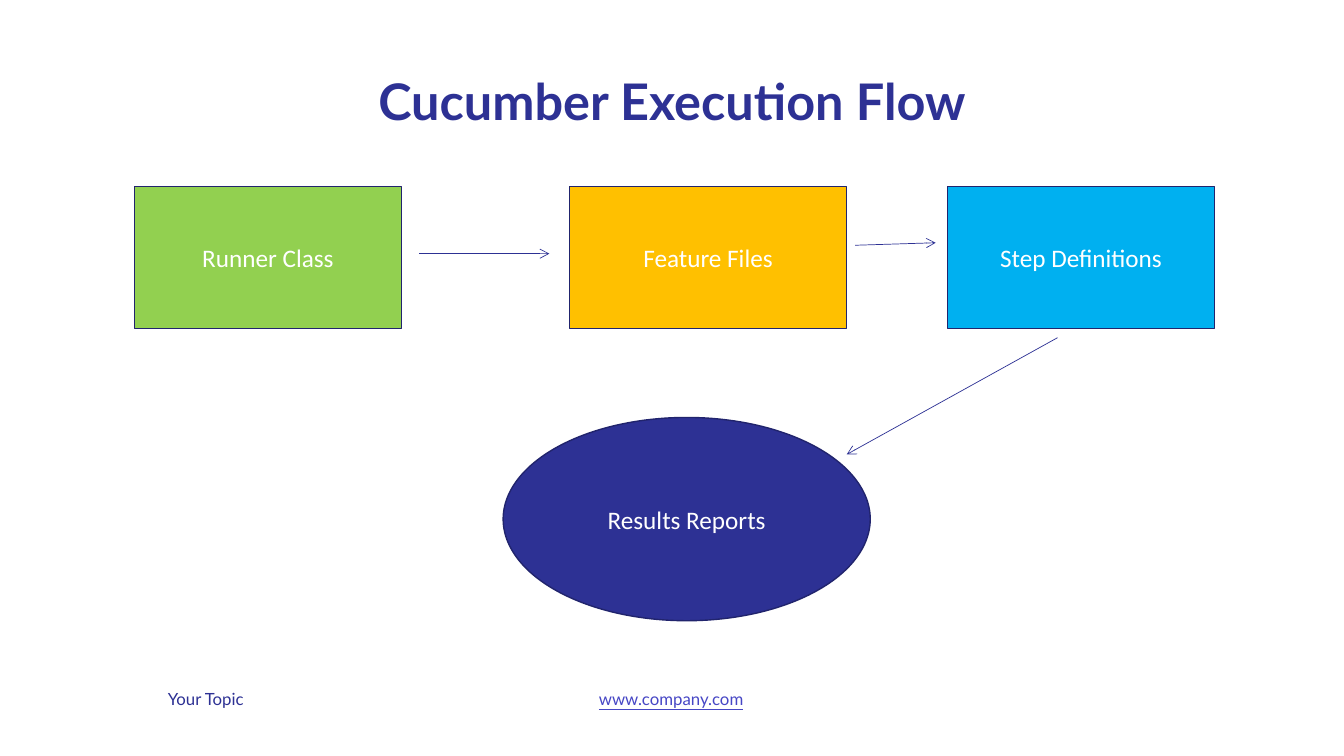
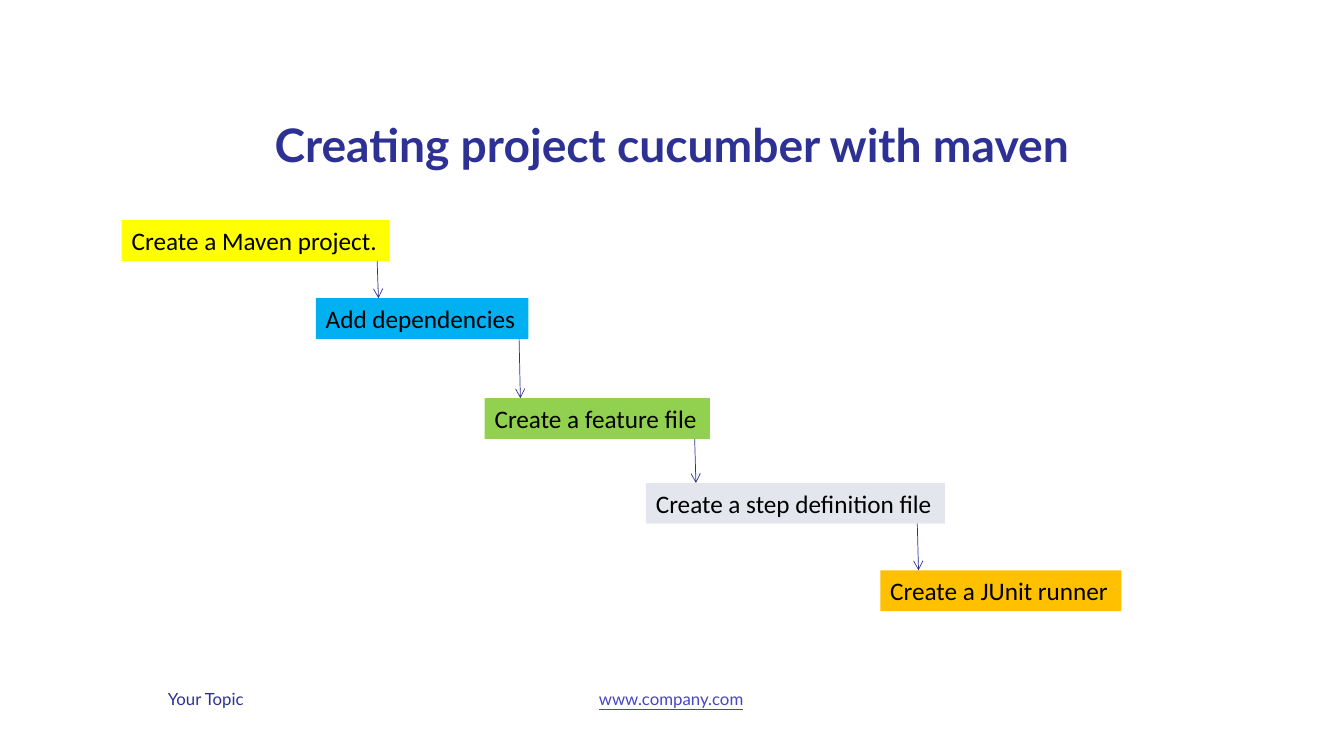
"""Build two slides on the Cucumber execution flow and the Maven project steps."""
from dataclasses import dataclass
from itertools import pairwise
from typing import Optional

from lxml.etree import SubElement
from pptx import Presentation
from pptx.dml.color import RGBColor
from pptx.enum.shapes import MSO_CONNECTOR, MSO_SHAPE
from pptx.enum.text import MSO_ANCHOR, MSO_AUTO_SIZE, PP_ALIGN
from pptx.oxml.ns import qn
from pptx.presentation import Presentation as Deck
from pptx.shapes.base import BaseShape
from pptx.slide import Slide
from pptx.util import Inches, Length, Pt

COLUMNS, ROWS = 160, 90
WIDTH, HEIGHT = Inches(13.33), Inches(7.5)
TITLE_ONLY = 5

NAVY = RGBColor(0x2D, 0x31, 0x94)
OUTLINE = RGBColor(0x21, 0x24, 0x6D)
LINK = RGBColor(0x46, 0x46, 0xC5)
GREEN = RGBColor(0x92, 0xD0, 0x50)
AMBER = RGBColor(0xFF, 0xC0, 0x00)
SKY = RGBColor(0x00, 0xB0, 0xF0)
YELLOW = RGBColor(0xFF, 0xFF, 0x00)
MIST = RGBColor(0xE3, 0xE7, 0xED)
WHITE = RGBColor(0xFF, 0xFF, 0xFF)
BLACK = RGBColor(0x00, 0x00, 0x00)

HEADING_FONT, BODY_FONT = "Lato", "Calibri"


@dataclass(frozen=True)
class Area:
    column: float
    row: float
    columns: float
    rows: float

    def lengths(self) -> tuple[Length, Length, Length, Length]:
        return across(self.column), down(self.row), across(self.columns), down(self.rows)


@dataclass(frozen=True)
class Stage:
    text: str
    area: Area
    fill: RGBColor
    outline: MSO_SHAPE = MSO_SHAPE.RECTANGLE


@dataclass(frozen=True)
class Step:
    text: str
    column: float
    row: float
    columns: float
    fill: RGBColor
    arrow_column: Optional[float] = None


@dataclass(frozen=True)
class Arrow:
    start: tuple[float, float]
    end: tuple[float, float]


STAGE_ROW, STAGE_ROWS = 22.2, 16.9
STAGES = (
    Stage("Runner Class", Area(16, STAGE_ROW, 31.8, STAGE_ROWS), GREEN),
    Stage("Feature Files", Area(67.8, STAGE_ROW, 33, STAGE_ROWS), AMBER),
    Stage("Step Definitions", Area(112.8, STAGE_ROW, 31.8, STAGE_ROWS), SKY),
    Stage("Results Reports", Area(59.9, 49.7, 43.7, 24.2), NAVY, MSO_SHAPE.OVAL),
)
FLOW_ARROWS = (
    Arrow((49.9, 30.2), (65.4, 30.2)),
    Arrow((101.8, 29.2), (111.4, 28.9)),
    Arrow((125.9, 40.2), (100.8, 54.1)),
)

STEP_ROWS, ARROW_DRIFT = 4.85, 0.15
STEPS = (
    Step("Create a Maven project.", 14.5, 26.2, 31.9, YELLOW, 44.9),
    Step("Add dependencies", 37.6, 35.5, 25.3, SKY, 61.8),
    Step("Create a feature file", 57.7, 47.4, 26.8, GREEN, 82.7),
    Step("Create a step definition file", 76.9, 57.5, 35.6, MIST, 109.2),
    Step("Create a JUnit runner", 104.8, 67.9, 28.7, AMBER),
)


def across(columns: float) -> Length:
    return Length(round(WIDTH * columns / COLUMNS))


def down(rows: float) -> Length:
    return Length(round(HEIGHT * rows / ROWS))


def write(shape: BaseShape, text: str, *, size: float, color: RGBColor,
          font: str = BODY_FONT, bold: bool = False, underline: bool = False,
          align: PP_ALIGN = PP_ALIGN.LEFT, anchor: MSO_ANCHOR = MSO_ANCHOR.TOP,
          spacing: Optional[Length] = None, wrap: bool = True) -> None:
    frame = shape.text_frame
    frame.auto_size = MSO_AUTO_SIZE.NONE
    frame.word_wrap = wrap
    frame.vertical_anchor = anchor
    para = frame.paragraphs[0]
    para.alignment = align
    if spacing is not None:
        para.line_spacing = spacing
    span = para.add_run()
    span.text = text
    span.font.name = font
    span.font.size = Pt(size)
    span.font.bold = bold
    span.font.underline = underline
    span.font.color.rgb = color


def add_page(deck: Deck, title: str, area: Area, size: float) -> Slide:
    page = deck.slides.add_slide(deck.slide_layouts[TITLE_ONLY])
    heading = page.shapes.title
    heading.left, heading.top, heading.width, heading.height = area.lengths()
    write(heading, title, size=size, color=NAVY, font=HEADING_FONT, bold=True,
          align=PP_ALIGN.CENTER, anchor=MSO_ANCHOR.BOTTOM, spacing=Pt(43))
    add_footer(page, "Your Topic", 18.8, NAVY)
    add_footer(page, "www.company.com", 67.4, LINK, align=PP_ALIGN.CENTER, underline=True)
    return page


def add_footer(page: Slide, text: str, column: float, color: RGBColor,
               align: PP_ALIGN = PP_ALIGN.LEFT, underline: bool = False) -> None:
    box = page.shapes.add_textbox(*Area(column, 81.4, 25, 3.6).lengths())
    write(box, text, size=12, color=color, font=HEADING_FONT, align=align, underline=underline)


def add_stage(page: Slide, stage: Stage) -> None:
    box = page.shapes.add_shape(stage.outline, *stage.area.lengths())
    box.shadow.inherit = False
    box.fill.solid()
    box.fill.fore_color.rgb = stage.fill
    box.line.color.rgb = OUTLINE
    box.line.width = Pt(1)
    write(box, stage.text, size=18, color=WHITE,
          align=PP_ALIGN.CENTER, anchor=MSO_ANCHOR.MIDDLE)


def add_step(page: Slide, step: Step) -> None:
    area = Area(step.column, step.row, step.columns, STEP_ROWS)
    box = page.shapes.add_textbox(*area.lengths())
    box.fill.solid()
    box.fill.fore_color.rgb = step.fill
    write(box, step.text, size=18, color=BLACK, wrap=False)


def add_arrow(page: Slide, arrow: Arrow) -> None:
    (start_column, start_row), (end_column, end_row) = arrow.start, arrow.end
    connector = page.shapes.add_connector(
        MSO_CONNECTOR.STRAIGHT, across(start_column), down(start_row),
        across(end_column), down(end_row))
    connector.line.color.rgb = NAVY
    connector.line.width = Pt(0.5)
    properties = connector.element.spPr
    SubElement(properties.find(qn("a:ln")), qn("a:tailEnd"), type="arrow")
    SubElement(properties, qn("a:effectLst"))


def add_flow_page(deck: Deck) -> None:
    page = add_page(deck, "Cucumber Execution Flow", Area(20, 8.4, 120, 7.8), 36)
    for stage in STAGES:
        add_stage(page, stage)
    for arrow in FLOW_ARROWS:
        add_arrow(page, arrow)


def add_steps_page(deck: Deck) -> None:
    page = add_page(deck, "Creating project cucumber with maven", Area(20, 12.1, 120, 9), 33)
    for step in STEPS:
        add_step(page, step)
    for step, following in pairwise(STEPS):
        add_arrow(page, Arrow((step.arrow_column, step.row + STEP_ROWS),
                              (step.arrow_column + ARROW_DRIFT, following.row)))


def main() -> None:
    deck = Presentation()
    deck.slide_width, deck.slide_height = WIDTH, HEIGHT
    add_flow_page(deck)
    add_steps_page(deck)
    deck.save("out.pptx")


if __name__ == "__main__":
    main()
